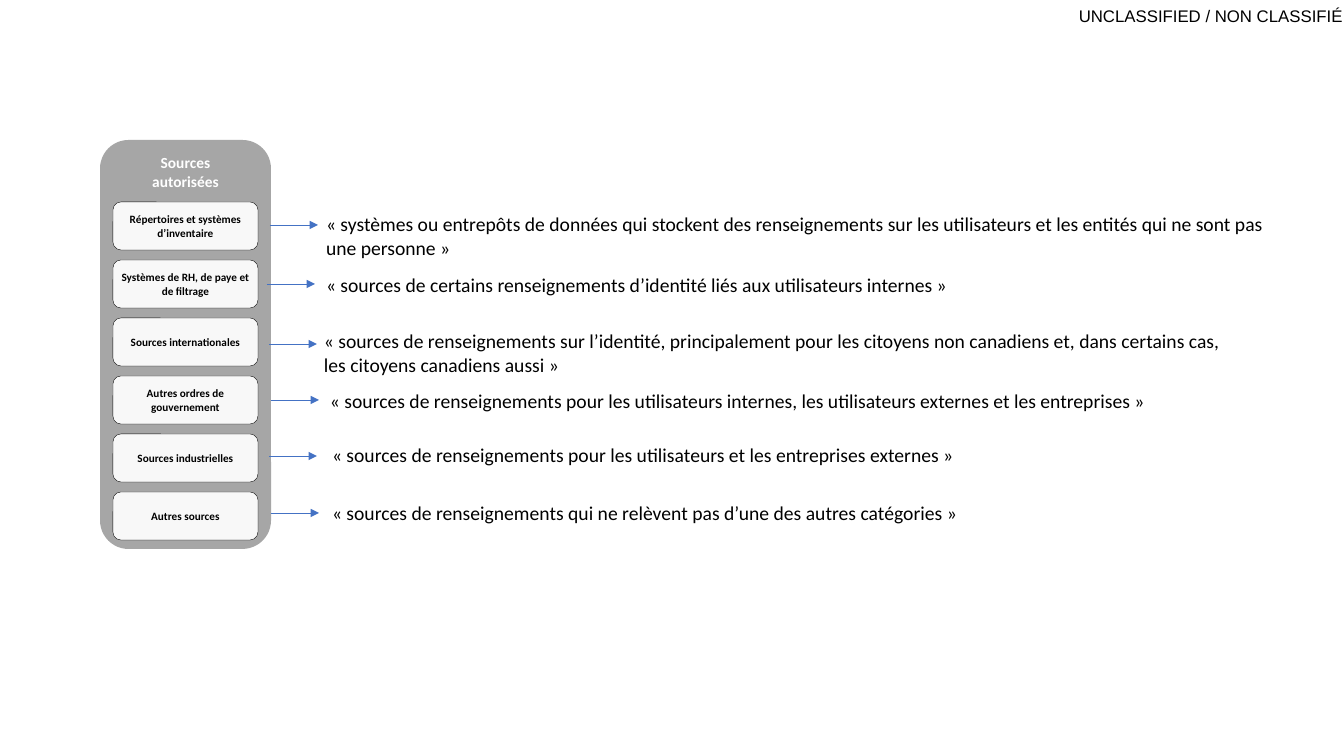
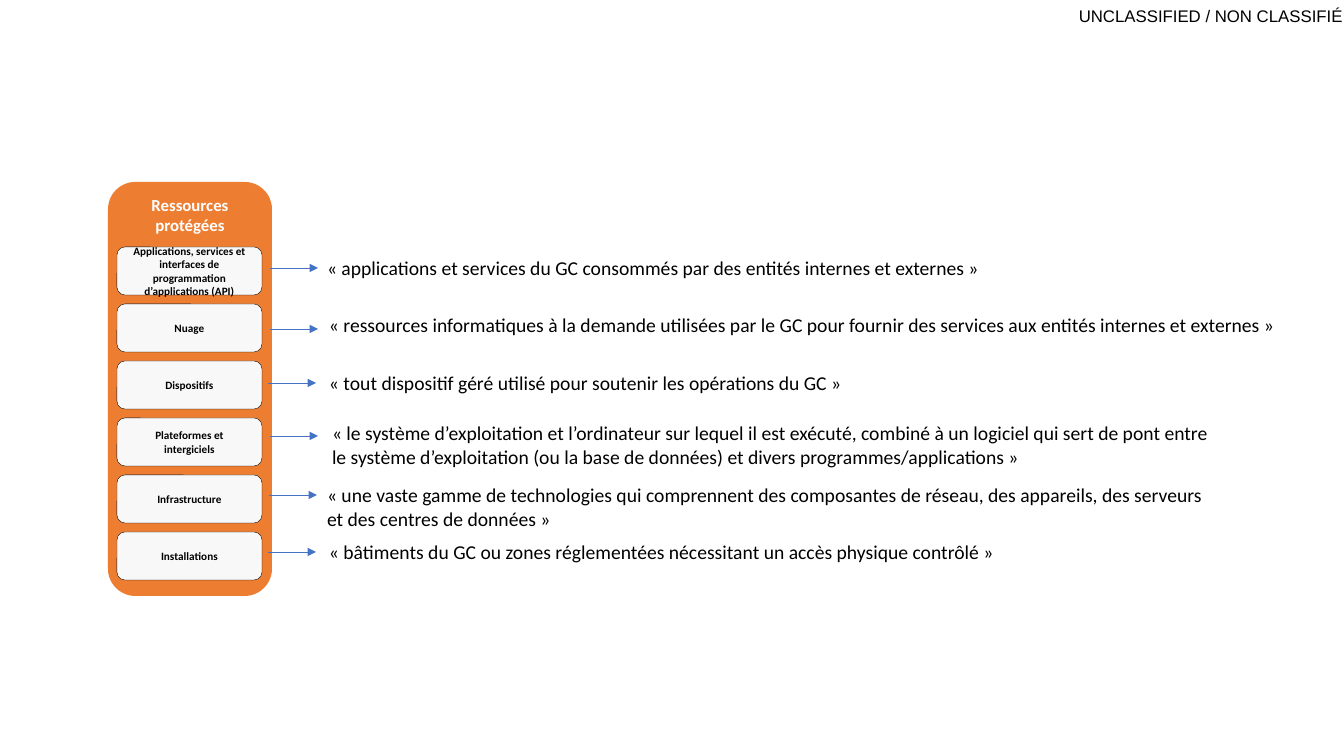
from dataclasses import dataclass

from lxml import etree
from pptx import Presentation
from pptx.dml.color import RGBColor
from pptx.enum.shapes import MSO_CONNECTOR, MSO_SHAPE
from pptx.enum.text import MSO_ANCHOR, MSO_AUTO_SIZE, PP_ALIGN
from pptx.oxml.ns import qn
from pptx.util import Pt

ROUNDED = MSO_SHAPE.ROUNDED_RECTANGLE
STRAIGHT = MSO_CONNECTOR.STRAIGHT
TOP, MIDDLE = MSO_ANCHOR.TOP, MSO_ANCHOR.MIDDLE
LEFT, CENTER, RIGHT = PP_ALIGN.LEFT, PP_ALIGN.CENTER, PP_ALIGN.RIGHT
GROW = MSO_AUTO_SIZE.SHAPE_TO_FIT_TEXT

PAGE_WIDTH, PAGE_HEIGHT = 1344, 756
EMU_PER_PIXEL = 12192000 / PAGE_WIDTH


@dataclass(frozen=True)
class Theme:
    font: str = "Calibri"
    label_font: str = "Arial"
    ink: str = "000000"
    white: str = "FFFFFF"
    card: str = "F8F8F8"
    arrow: str = "4472C4"
    gray: str = "A6A6A6"
    orange: str = "ED7D31"
    body_size: int = 14
    label_size: int = 12
    card_size: int = 8
    arrow_width: float = 0.5
    card_line: float = 0.25


@dataclass(frozen=True)
class Panel:
    frame: tuple
    color: str
    heading: tuple
    heading_size: int
    card_left: int
    card_top: int
    card_pitch: int


@dataclass(frozen=True)
class Entry:
    name: str
    definition: str
    arrow: tuple  # left, top
    text: tuple  # left, top, width
    lines: int = 1
    inset: int = 10  # left and right margin of the card


THEME = Theme()
CARD_WIDTH, CARD_HEIGHT = 145, 48
ARROW_LENGTH = 48
LINE_HEIGHT, TEXT_MARGIN = 24, 10

# Content of the two slides
SOURCES = Panel((100, 140, 171, 409), THEME.gray, ("Sources", "autorisées"), 11,
                113, 202, 58)
SOURCE_ENTRIES = (
    Entry("Répertoires et systèmes d’inventaire",
          "systèmes ou entrepôts de données qui stockent des renseignements sur "
          "les utilisateurs et les entités qui ne sont pas une personne",
          (270, 225), (316, 207, 987), lines=2, inset=4),
    Entry("Systèmes de RH, de paye et de filtrage",
          "sources de certains renseignements d’identité liés aux utilisateurs internes",
          (267, 284), (316, 268, 915), inset=4),
    Entry("Sources internationales",
          "sources de renseignements sur l’identité, principalement pour les citoyens "
          "non canadiens et, dans certains cas, les citoyens canadiens aussi",
          (269, 344), (314, 324, 928), lines=2),
    Entry("Autres ordres de gouvernement",
          "sources de renseignements pour les utilisateurs internes, "
          "les utilisateurs externes et les entreprises",
          (271, 400), (320, 384, 915)),
    Entry("Sources industrielles",
          "sources de renseignements pour les utilisateurs et les entreprises externes",
          (269, 456), (322, 438, 915)),
    Entry("Autres sources",
          "sources de renseignements qui ne relèvent pas d’une des autres catégories",
          (271, 513), (322, 496, 915)),
)

RESOURCES = Panel((108, 182, 164, 414), THEME.orange, ("Ressources protégées",), 12,
                  117, 247, 57)
RESOURCE_ENTRIES = (
    Entry("Applications, services et interfaces de programmation d’applications (API)",
          "applications et services du GC consommés par des entités internes et externes",
          (270, 268), (317, 251, 915)),
    Entry("Nuage",
          "ressources informatiques à la demande utilisées par le GC pour fournir "
          "des services aux entités internes et externes",
          (270, 329), (319, 308, 990)),
    Entry("Dispositifs",
          "tout dispositif géré utilisé pour soutenir les opérations du GC",
          (268, 383), (319, 366, 915)),
    Entry("Plateformes et intergiciels",
          "le système d’exploitation et l’ordinateur sur lequel il est exécuté, combiné "
          "à un logiciel qui sert de pont entre le système d’exploitation (ou la base "
          "de données) et divers programmes/applications",
          (270, 436), (322, 416, 915), lines=2),
    Entry("Infrastructure",
          "une vaste gamme de technologies qui comprennent des composantes de réseau, "
          "des appareils, des serveurs et des centres de données",
          (269, 495), (317, 478, 915), lines=2),
    Entry("Installations",
          "bâtiments du GC ou zones réglementées nécessitant un accès physique contrôlé",
          (268, 552), (319, 535, 915)),
)


def px(*lengths):
    return [round(length * EMU_PER_PIXEL) for length in lengths]


def rgb(color):
    return RGBColor.from_string(color)


def write(shape, paragraphs, size, color=THEME.ink, font=THEME.font, bold=False,
          align=LEFT, anchor=TOP, margins=(10, 5)):
    frame = shape.text_frame
    frame.word_wrap = True
    frame.vertical_anchor = anchor
    side, edge = px(*margins)
    frame.margin_left = frame.margin_right = side
    frame.margin_top = frame.margin_bottom = edge
    for index, text in enumerate(paragraphs):
        para = frame.add_paragraph() if index else frame.paragraphs[0]
        para.alignment = align
        span = para.add_run()
        span.text = text
        span.font.name = font
        span.font.size = Pt(size)
        span.font.bold = bold
        span.font.color.rgb = rgb(color)


def add_text(page, frame, text, size, **style):
    box = page.shapes.add_textbox(*px(*frame))
    write(box, (text,), size, **style)
    box.text_frame.auto_size = GROW
    return box


def add_rounded(group, frame, fill, outline=None):
    shape = group.shapes.add_shape(ROUNDED, *px(*frame))
    shape.shadow.inherit = False
    shape.fill.solid()
    shape.fill.fore_color.rgb = rgb(fill)
    if outline:
        shape.line.color.rgb = rgb(outline)
        shape.line.width = Pt(THEME.card_line)
    else:
        shape.line.fill.background()
    return shape


def add_arrow(page, left, top):
    arrow = page.shapes.add_connector(STRAIGHT, *px(left, top, left + ARROW_LENGTH, top))
    arrow.line.color.rgb = rgb(THEME.arrow)
    arrow.line.width = Pt(THEME.arrow_width)
    etree.SubElement(arrow.line._get_or_add_ln(), qn("a:tailEnd"), type="triangle")
    etree.SubElement(arrow.element.spPr, qn("a:effectLst"))


def add_panel(page, panel, entries):
    group = page.shapes.add_group_shape()
    back = add_rounded(group, panel.frame, panel.color)
    write(back, panel.heading, panel.heading_size, THEME.white, bold=True, align=CENTER)
    for row, entry in enumerate(entries):
        top = panel.card_top + row * panel.card_pitch
        card = add_rounded(group, (panel.card_left, top, CARD_WIDTH, CARD_HEIGHT),
                           THEME.card, THEME.ink)
        write(card, (entry.name,), THEME.card_size, bold=True, align=CENTER,
              anchor=MIDDLE, margins=(entry.inset, 4))


def add_definition(page, entry):
    add_arrow(page, *entry.arrow)
    height = entry.lines * LINE_HEIGHT + TEXT_MARGIN
    add_text(page, (*entry.text, height), f"«\u00a0{entry.definition}\u00a0»",
             THEME.body_size)


def add_classification(deck, page):
    """Place the marking on the slide master, so that every slide shows it."""
    label = add_text(page, (1039, 0, 304, 31), "UNCLASSIFIED / NON CLASSIFIÉ",
                     THEME.label_size, font=THEME.label_font, align=RIGHT,
                     anchor=MIDDLE, margins=(0, 0))
    deck.slide_master.shapes.element.append(label.element)


def main():
    deck = Presentation()
    deck.slide_width, deck.slide_height = px(PAGE_WIDTH, PAGE_HEIGHT)
    blank = deck.slide_layouts.get_by_name("Blank")

    for panel, entries in ((SOURCES, SOURCE_ENTRIES), (RESOURCES, RESOURCE_ENTRIES)):
        page = deck.slides.add_slide(blank)
        add_panel(page, panel, entries)
        for entry in entries:
            add_definition(page, entry)

    add_classification(deck, deck.slides[0])
    deck.save("out.pptx")


main()
